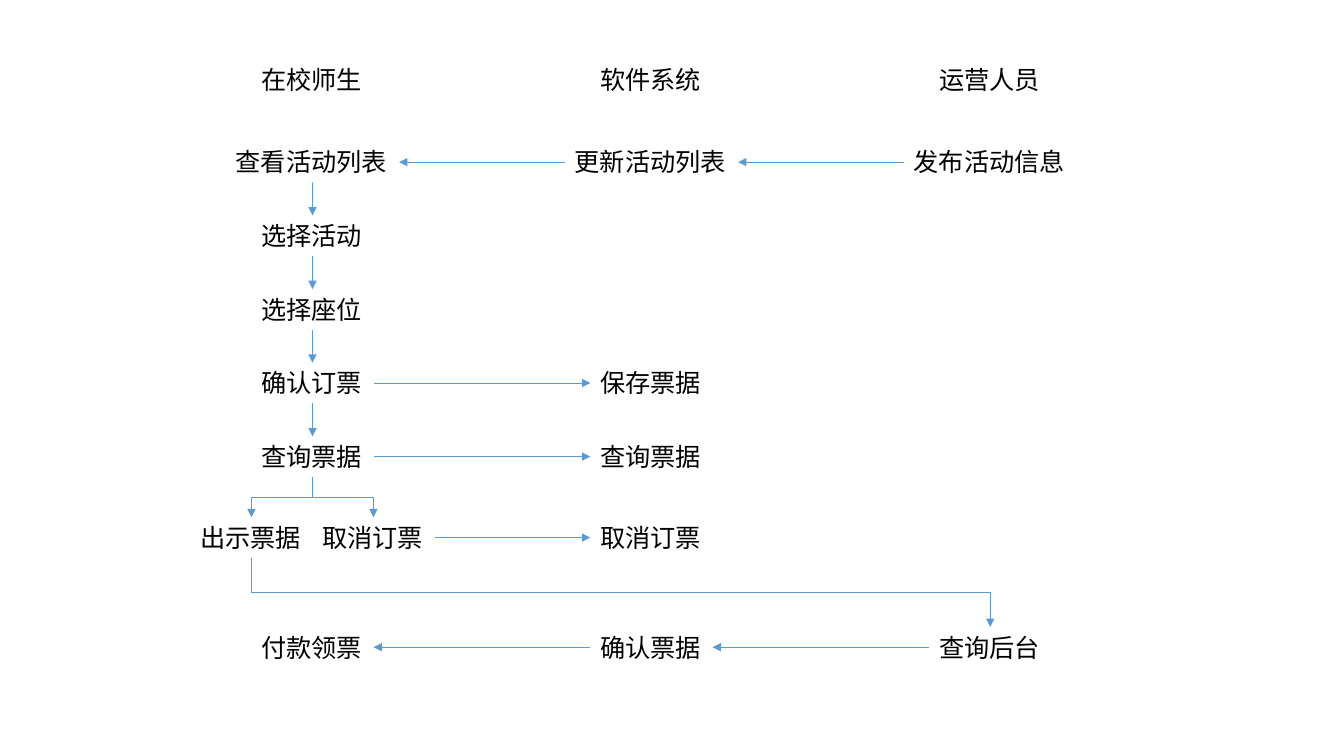
"""Build a ticket-booking flow slide with three columns of steps."""
from pptx import Presentation
from pptx.dml.color import RGBColor
from pptx.enum.shapes import MSO_CONNECTOR
from pptx.enum.text import MSO_AUTO_SIZE
from pptx.oxml.ns import qn
from pptx.util import Pt
from lxml import etree

STRAIGHT, ELBOW = MSO_CONNECTOR.STRAIGHT, MSO_CONNECTOR.ELBOW
FIT = MSO_AUTO_SIZE.SHAPE_TO_FIT_TEXT
BLACK = RGBColor(0x00, 0x00, 0x00)
BLUE = RGBColor(0x5B, 0x9B, 0xD5)
TOP, LEFT, BOTTOM, RIGHT = range(4)

BOX_H = 29
WIDTHS = {4: 87.2, 6: 123.8}
USER, SYSTEM, STAFF = [223.2 + 242.1 * i for i in range(3)]
SHOW, CANCEL = USER - WIDTHS[4] / 2, USER + WIDTHS[4] / 2
HEAD_Y, CANCEL_Y, PAY_Y = 42.5, 369.5, 447.8
LIST_Y, PICK_Y, SEAT_Y, CONFIRM_Y, QUERY_Y = [101.3 + 52.6 * i for i in range(5)]

prs = Presentation()
prs.slide_width, prs.slide_height = Pt(960), Pt(540)
s = prs.slides.add_slide(prs.slide_layouts[6])

steps = [
    (USER, HEAD_Y, "在校师生"), (SYSTEM, HEAD_Y, "软件系统"), (STAFF, HEAD_Y, "运营人员"),
    (USER, LIST_Y, "查看活动列表"), (SYSTEM, LIST_Y, "更新活动列表"), (STAFF, LIST_Y, "发布活动信息"),
    (USER, PICK_Y, "选择活动"),
    (USER, SEAT_Y, "选择座位"),
    (USER, CONFIRM_Y, "确认订票"), (SYSTEM, CONFIRM_Y, "保存票据"),
    (USER, QUERY_Y, "查询票据"), (SYSTEM, QUERY_Y, "查询票据"),
    (SHOW, CANCEL_Y, "出示票据"), (CANCEL, CANCEL_Y, "取消订票"), (SYSTEM, CANCEL_Y, "取消订票"),
    (USER, PAY_Y, "付款领票"), (SYSTEM, PAY_Y, "确认票据"), (STAFF, PAY_Y, "查询后台"),
]
boxes = {}
for x, y, text in steps:
    w = WIDTHS[len(text)]
    sp = s.shapes.add_textbox(Pt(x - w / 2), Pt(y), Pt(w), Pt(BOX_H))
    tf = sp.text_frame
    tf.word_wrap = False
    tf.auto_size = FIT
    p = tf.paragraphs[0]
    p.text = text
    p.font.size = Pt(18)
    p.font.name = "Calibri"
    p.font.color.rgb = BLACK
    boxes[x, y] = sp


def arrow(kind, start, start_side, end, end_side):
    c = s.shapes.add_connector(kind, 0, 0, 0, 0)
    c.begin_connect(boxes[start], start_side)
    c.end_connect(boxes[end], end_side)
    c.line.color.rgb = BLUE
    c.line.width = Pt(0.5)
    etree.SubElement(c.line._get_or_add_ln(), qn("a:tailEnd"), type="triangle")
    etree.SubElement(c._element.spPr, qn("a:effectLst"))
    return c


user_rows = [LIST_Y, PICK_Y, SEAT_Y, CONFIRM_Y, QUERY_Y]
for y, next_y in zip(user_rows, user_rows[1:]):
    arrow(STRAIGHT, (USER, y), BOTTOM, (USER, next_y), TOP)

for x, y in [(USER, CONFIRM_Y), (USER, QUERY_Y), (CANCEL, CANCEL_Y)]:
    arrow(STRAIGHT, (x, y), RIGHT, (SYSTEM, y), LEFT)

for y in (LIST_Y, PAY_Y):
    for x, next_x in [(STAFF, SYSTEM), (SYSTEM, USER)]:
        arrow(STRAIGHT, (x, y), LEFT, (next_x, y), RIGHT)

bends = [
    ((USER, QUERY_Y), (SHOW, CANCEL_Y)),
    ((USER, QUERY_Y), (CANCEL, CANCEL_Y)),
    ((SHOW, CANCEL_Y), (STAFF, PAY_Y)),
]
for start, end in bends:
    c = arrow(ELBOW, start, BOTTOM, end, TOP)
    rightward = end[0] > start[0]
    across, down = abs(end[0] - start[0]), end[1] - start[1] - BOX_H
    c.left = Pt((start[0] + end[0] - down) / 2)
    c.top = Pt((start[1] + BOX_H + end[1] - across) / 2)
    c.width, c.height = Pt(down), Pt(across)
    xfrm = c._element.spPr.find(qn("a:xfrm"))
    xfrm.set("rot", "16200000" if rightward else "5400000")
    xfrm.set("flipH", "1" if rightward else "0")

prs.save("out.pptx")
